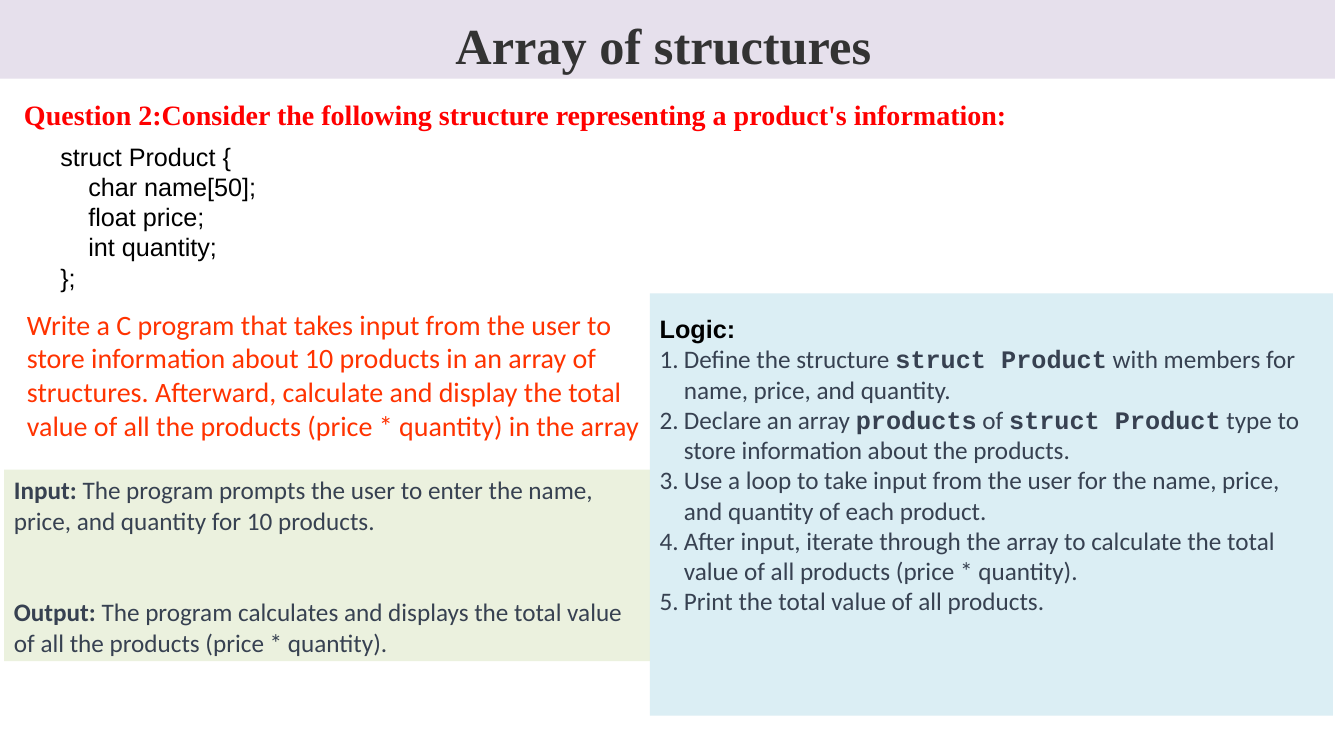
from lxml import etree
from pptx import Presentation
from pptx import util as u
from pptx.dml.color import RGBColor
from pptx.enum import shapes, text
from pptx.oxml.ns import qn

LILAC = RGBColor(0xE6, 0xE0, 0xEC)
GREEN = RGBColor(0xEB, 0xF1, 0xDE)
BLUE = RGBColor(0xDB, 0xEE, 0xF4)
CHARCOAL = RGBColor(0x33, 0x33, 0x33)
SLATE = RGBColor(0x37, 0x41, 0x51)
BLACK = RGBColor(0, 0, 0)
RED = RGBColor(0xFF, 0, 0)
ORANGE = RGBColor(0xFF, 0x33, 0)

WIDTH, HEIGHT = u.Inches(13.34), u.Inches(7.5)
HANG = u.Inches(0.24)

STRUCT_CODE = [
    "struct Product {",
    "    char name[50];",
    "    float price;",
    "    int quantity;",
    "};",
]
TASK = ("Write a C program that takes input from the user to store information about "
        "10 products in an array of structures. Afterward, calculate and display the "
        "total value of all the products (price * quantity) in the array")
INPUT_OUTPUT = [
    ("Input:", " The program prompts the user to enter the name, price, and quantity "
               "for 10 products."),
    ("Output:", " The program calculates and displays the total value of all the "
                "products (price * quantity)."),
]
STEPS = [
    ["Define the structure ", "struct Product",
     " with members for name, price, and quantity."],
    ["Declare an array ", "products", " of ", "struct Product",
     " type to store information about the products."],
    ["Use a loop to take input from the user for the name, price, and quantity of "
     "each product."],
    ["After input, iterate through the array to calculate the total value of all "
     "products (price * quantity)."],
    ["Print the total value of all products."],
]


def add_frame(page, area, fill=None):
    """Place a text area, given in percent of the slide, and return its text frame."""
    left, top, width, height = area
    place = [u.Emu(round(share * side / 100)) for share, side in
             ((left, WIDTH), (top, HEIGHT), (width, WIDTH), (height, HEIGHT))]
    if fill is None:
        box = page.shapes.add_textbox(*place)
    else:
        box = page.shapes.add_shape(shapes.MSO_SHAPE.RECTANGLE, *place)
        box.shadow.inherit = False
        box.fill.solid()
        box.fill.fore_color.rgb = fill
        box.line.fill.background()
    frame = box.text_frame
    frame.word_wrap = True
    frame.vertical_anchor = text.MSO_ANCHOR.TOP
    return frame


def add_para(frame, align=text.PP_ALIGN.LEFT):
    """Return the frame's empty first paragraph, or a new one after the others."""
    first = frame.paragraphs[0]
    para = frame.add_paragraph() if first.runs else first
    para.alignment = align
    return para


def add_span(para, words, font, size, color, bold=False):
    """Add one run with its full formatting."""
    span = para.add_run()
    span.text = words
    span.font.name = font
    span.font.size = u.Pt(size)
    span.font.color.rgb = color
    span.font.bold = bold


def number_para(para):
    """Give a paragraph a slate automatic number and a hanging indent."""
    props = para._p.get_or_add_pPr()
    props.set("marL", str(HANG))
    props.set("indent", str(-HANG))
    color = etree.SubElement(props, qn("a:buClr"))
    etree.SubElement(color, qn("a:srgbClr"), val=str(SLATE))
    etree.SubElement(props, qn("a:buAutoNum"), type="arabicPeriod")


def add_question(page, area):
    """Add the red question heading."""
    para = add_para(add_frame(page, area))
    add_span(para, "Question 2:Consider the following structure representing a "
             "product's information:", "Times New Roman", 20, RED, True)


def add_title(page, area):
    """Add the title band."""
    frame = add_frame(page, area, LILAC)
    frame.vertical_anchor = text.MSO_ANCHOR.MIDDLE
    para = add_para(frame, text.PP_ALIGN.CENTER)
    para.line_spacing = 1.15
    add_span(para, "Array of structures", "Times New Roman", 36, CHARCOAL, True)


def add_input_output(page, area):
    """Add the panel describing input and output."""
    frame = add_frame(page, area, GREEN)
    for index, (label, description) in enumerate(INPUT_OUTPUT):
        para = add_para(frame)
        if index:
            para.space_before = u.Pt(44)
        add_span(para, label, "Calibri", 18, SLATE, True)
        add_span(para, description, "Calibri", 18, SLATE)


def add_logic(page, area):
    """Add the panel of numbered steps, with every second run in code type."""
    frame = add_frame(page, area, BLUE)
    heading = add_para(frame)
    heading.line_spacing = 1.5
    add_span(heading, "Logic:", "Arial", 18, BLACK, True)
    for step in STEPS:
        para = add_para(frame)
        number_para(para)
        for index, words in enumerate(step):
            is_code = index % 2 == 1
            add_span(para, words, "Courier New" if is_code else "Calibri", 18,
                     SLATE, is_code)


def add_struct(page, area):
    """Add the structure's code, one line a paragraph."""
    frame = add_frame(page, area)
    for line in STRUCT_CODE:
        add_span(add_para(frame), line, "Arial", 18, BLACK)


def add_task(page, area):
    """Add the task statement."""
    add_span(add_para(add_frame(page, area)), TASK, "Calibri", 20, ORANGE)


def main():
    """Build the slide and save the deck."""
    deck = Presentation()
    deck.slide_width, deck.slide_height = WIDTH, HEIGHT
    page = deck.slides.add_slide(deck.slide_layouts[6])
    add_question(page, (1.05, 12.27, 96.63, 5.87))
    add_title(page, (-0.6, 0, 99.93, 10.4))
    add_input_output(page, (0.3, 62.13, 48.13, 25.33))
    add_logic(page, (48.35, 38.8, 50.82, 55.87))
    add_struct(page, (3.75, 18, 50.3, 21.33))
    add_task(page, (1.27, 40, 47.08, 23.6))
    deck.save("out.pptx")


if __name__ == "__main__":
    main()
